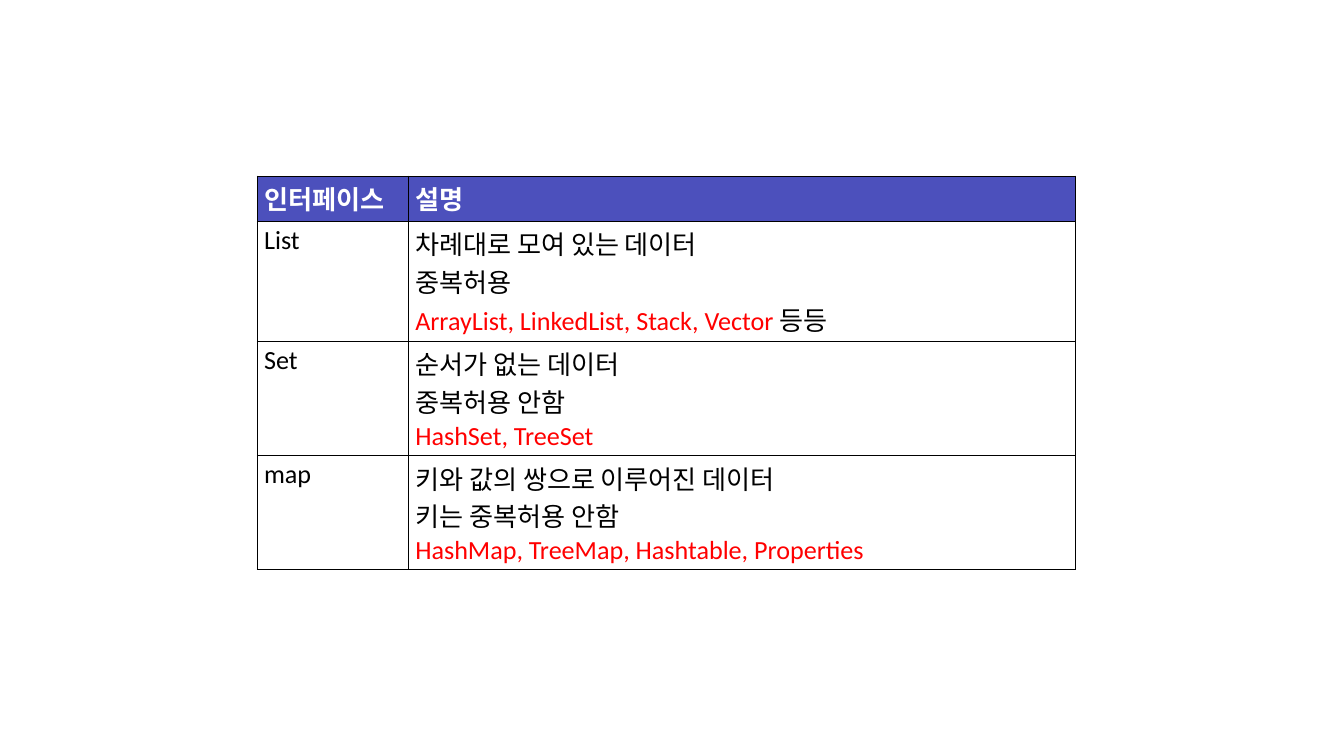
import pptx
import pptx.dml.color
import pptx.oxml
import pptx.oxml.ns
import pptx.util

SLIDE_SIZE = (20, 11.25)
TABLE_ORIGIN = (3.83, 2.62)
COLUMN_WIDTHS = (2.25, 9.92)
ROW_HEIGHTS = (0.67, 1.79, 1.7, 1.7)

COLORS = {
    "header": "4C50BC",
    "header_text": "FFFFFF",
    "text": "000000",
    "classes": "FF0000",
    "border": "000000",
}

HEADER = ("인터페이스", "설명")
# Interface, descriptions, implementing classes, words after the classes
INTERFACES = (
    ("List", ("차례대로 모여 있는 데이터", "중복허용"),
     "ArrayList, LinkedList, Stack, Vector ", "등등"),
    ("Set", ("순서가 없는 데이터", "중복허용 안함"), "HashSet, TreeSet", ""),
    ("map", ("키와 값의 쌍으로 이루어진 데이터", "키는 중복허용 안함"),
     "HashMap, TreeMap, Hashtable, Properties", ""),
)


def add_run(paragraph, text, color, bold=False):
    run = paragraph.add_run()
    run.text = text
    font_format = {"name": "Calibri", "size": pptx.util.Pt(28), "bold": bold}
    for name, value in font_format.items():
        setattr(run.font, name, value)
    run.font.color.rgb = pptx.dml.color.RGBColor.from_string(COLORS[color])


def fill_cell(cell, paragraphs, bold=False):
    """Write paragraphs, each a list of (text, colour name) runs."""
    frame = cell.text_frame
    for index, runs in enumerate(paragraphs):
        paragraph = frame.add_paragraph() if index else frame.paragraphs[0]
        for text, color in runs:
            add_run(paragraph, text, color, bold)


def add_borders(cell):
    """Put the four lines ahead of the fill, as the schema orders them."""
    properties = cell._tc.get_or_add_tcPr()
    for index, side in enumerate(("lnL", "lnR", "lnT", "lnB")):
        line = pptx.oxml.parse_xml(
            f'<a:{side} {pptx.oxml.ns.nsdecls("a")} w="{pptx.util.Pt(1)}">'
            f'<a:solidFill><a:srgbClr val="{COLORS["border"]}"/></a:solidFill>'
            f'</a:{side}>'
        )
        properties.insert(index, line)


def add_grid(slide):
    """Add an empty bordered table with a coloured header row."""
    size = (sum(COLUMN_WIDTHS), sum(ROW_HEIGHTS))
    bounds = [pptx.util.Inches(length) for length in TABLE_ORIGIN + size]
    table = slide.shapes.add_table(
        len(ROW_HEIGHTS), len(COLUMN_WIDTHS), *bounds).table
    table.first_row = table.horz_banding = False
    for column, width in zip(table.columns, COLUMN_WIDTHS):
        column.width = pptx.util.Inches(width)
    for index, (row, height) in enumerate(zip(table.rows, ROW_HEIGHTS)):
        row.height = pptx.util.Inches(height)
        for cell in row.cells:
            if index == 0:
                cell.fill.solid()
                cell.fill.fore_color.rgb = (
                    pptx.dml.color.RGBColor.from_string(COLORS["header"]))
            else:
                cell.fill.background()
            add_borders(cell)
    return table


def add_interface_table(slide):
    table = add_grid(slide)
    for column, title in enumerate(HEADER):
        fill_cell(table.cell(0, column), [[(title, "header_text")]], bold=True)
    for row, (name, lines, classes, ending) in enumerate(INTERFACES, start=1):
        class_runs = [(classes, "classes")]
        if ending:
            class_runs.append((ending, "text"))
        descriptions = [[(line, "text")] for line in lines]
        fill_cell(table.cell(row, 0), [[(name, "text")]])
        fill_cell(table.cell(row, 1), descriptions + [class_runs])


def main():
    presentation = pptx.Presentation()
    presentation.slide_width, presentation.slide_height = map(
        pptx.util.Inches, SLIDE_SIZE)
    blank_layout = presentation.slide_layouts[6]
    add_interface_table(presentation.slides.add_slide(blank_layout))
    presentation.save("out.pptx")


if __name__ == "__main__":
    main()
